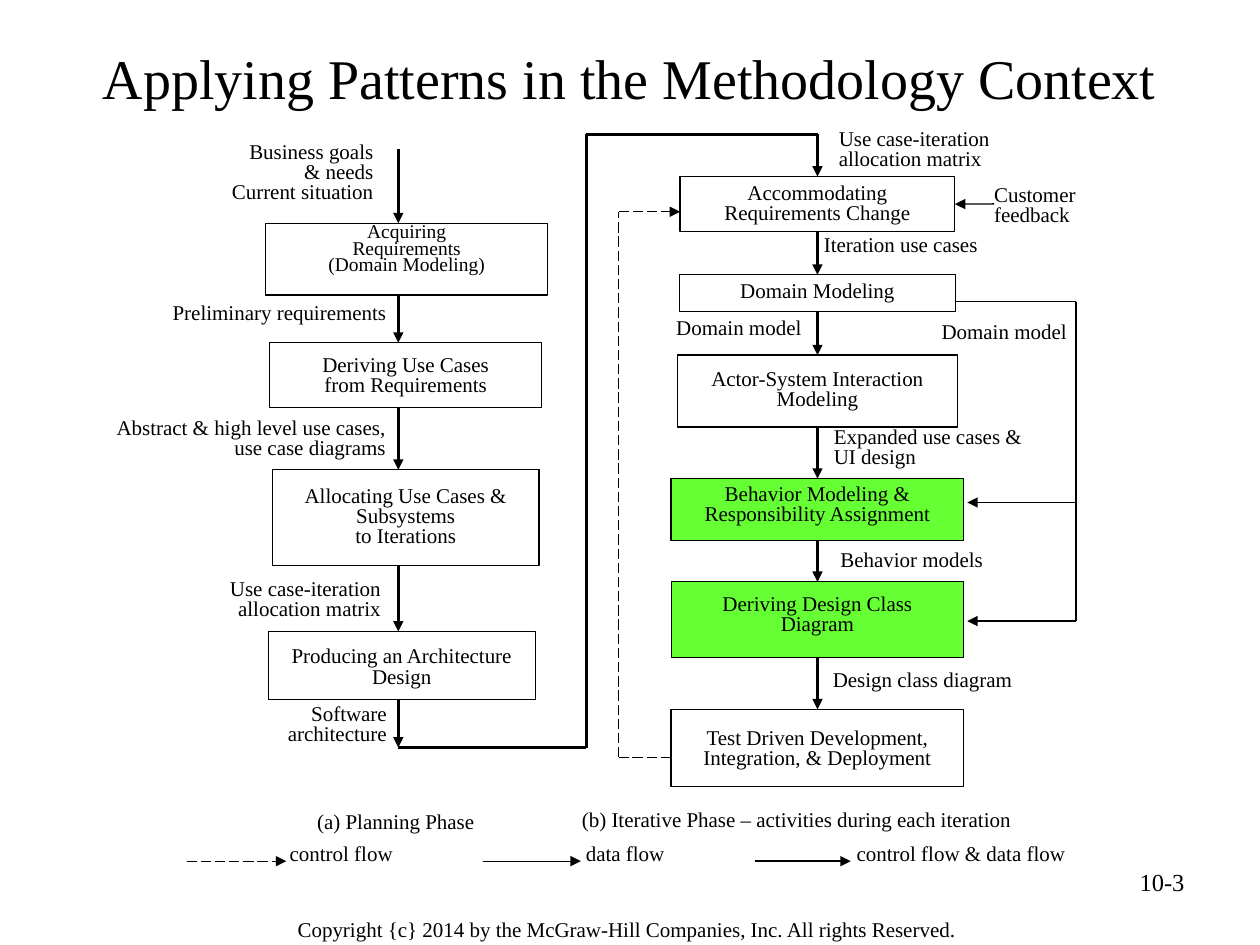
from itertools import pairwise

from lxml import etree
from pptx import Presentation
from pptx.dml.color import RGBColor
from pptx.enum.dml import MSO_LINE
from pptx.enum.shapes import MSO_CONNECTOR, MSO_SHAPE
from pptx.enum.text import MSO_ANCHOR, PP_ALIGN
from pptx.oxml.ns import qn
from pptx.util import Cm, Pt

LEFT, CENTER, RIGHT = PP_ALIGN.LEFT, PP_ALIGN.CENTER, PP_ALIGN.RIGHT
TOP, MIDDLE = MSO_ANCHOR.TOP, MSO_ANCHOR.MIDDLE
STRAIGHT, RECTANGLE = MSO_CONNECTOR.STRAIGHT, MSO_SHAPE.RECTANGLE
DASH = MSO_LINE.LONG_DASH
TOP_SIDE, BOTTOM_SIDE, RIGHT_SIDE = 0, 2, 3

THEME = {
    "font": "Times New Roman",
    "ink": RGBColor(0x00, 0x00, 0x00),
    "plain": RGBColor(0xFF, 0xFF, 0xFF),
    "highlight": RGBColor(0x66, 0xFF, 0x33),
    "title": 32, "number": 14, "body": 12, "small": 11.1,
    "thin": 0.75, "thick": 1.5,
    "tight": 0.8, "tighter": 0.7,
}
# Flow kinds: line width, dash
CONTROL = ("thin", DASH)
DATA = ("thin", None)
BOTH = ("thick", None)

# Lengths below are in centimetres
PLANNING_X, ITERATION_X = 8.03, 16.48
BRIDGE_X, LOOP_X, MODEL_X = 11.82, 12.47, 21.69

# Activities: text, centre x, top, width, height, space above the text
PLANNING = [
    ("Acquiring\nRequirements\n(Domain Modeling)", 8.2, 4.5, 5.69, 1.45, 0.05),
    ("Deriving Use Cases\nfrom Requirements", 8.18, 6.91, 5.49, 1.3, 0.28),
    ("Allocating Use Cases & Subsystems\nto Iterations", 8.18, 9.47, 5.38, 1.93, 0.36),
    ("Producing an Architecture Design", 8.1, 12.73, 5.38, 1.37, 0.33),
]
ITERATION = [
    ("Accommodating\nRequirements Change", ITERATION_X, 3.56, 5.54, 1.11, 0.15),
    ("Domain Modeling", ITERATION_X, 5.54, 5.56, 0.74, 0.15),
    ("Actor-System Interaction Modeling", ITERATION_X, 7.16, 5.64, 1.45, 0.3),
    ("Behavior Modeling &\nResponsibility Assignment", ITERATION_X, 9.65, 5.9, 1.25, 0.13),
    ("Deriving Design Class\nDiagram", ITERATION_X, 11.73, 5.88, 1.53, 0.28),
    ("Test Driven Development, Integration, & Deployment", ITERATION_X, 14.3, 5.9, 1.56, 0.4),
]
HIGHLIGHTED = {ITERATION[3][0], ITERATION[4][0]}
SMALL = {PLANNING[0][0]}

# Labels: text, left, top, width, height, alignment
LABELS = [
    ("Business goals\n& needs\nCurrent situation", 3.51, 2.77, 4.27, 1.93, RIGHT),
    ("Preliminary requirements", 3.23, 6.02, 4.93, 0.81, LEFT),
    ("Abstract & high level use cases, use case diagrams", 1.83, 8.33, 6.2, 1.35, RIGHT),
    ("Use case-iteration\nallocation matrix", 2.82, 11.58, 5.11, 1.4, RIGHT),
    ("Software architecture", 4.62, 14.1, 3.43, 1.35, RIGHT),
    ("Use case-iteration\nallocation matrix", 16.66, 2.51, 5.11, 1.4, LEFT),
    ("Customer\nfeedback", 19.79, 3.63, 3, 1.55, LEFT),
    ("Iteration use cases", 16.36, 4.65, 5.13, 0.89, LEFT),
    ("Domain model", 12.6, 6.32, 3.81, 0.71, RIGHT),
    ("Domain model", 18.34, 6.4, 3.81, 0.71, CENTER),
    ("Expanded use cases & UI design", 16.56, 8.51, 4.8, 1.37, LEFT),
    ("Behavior models", 16.69, 11, 3.56, 0.79, LEFT),
    ("Design class diagram", 16.54, 13.41, 6.53, 0.89, LEFT),
    ("(a) Planning Phase", 5.11, 16.28, 5.74, 0.89, CENTER),
    ("(b) Iterative Phase – activities during each iteration", 11.48, 16.23, 11.81, 0.89, LEFT),
]

# Legend: text, text left, text width, line start, line end, flow kind
LEGEND_TOP, LEGEND_LINE_Y = 16.92, 17.36
LEGEND = [
    ("control flow", 5.59, 4.04, 3.76, 5.77, CONTROL),
    ("data flow", 11.56, 3.68, 9.73, 11.71, DATA),
    ("control flow & data flow", 17.02, 6.48, 15.21, 17.15, BOTH),
]

# Routes: points, flow kind, arrowhead at the last point
ROUTES = [
    ([(PLANNING_X, 3), (PLANNING_X, PLANNING[0][2])], BOTH, True),
    ([(PLANNING_X, 14.12), (PLANNING_X, 15.07)], BOTH, True),
    ([(PLANNING_X, 15.07), (BRIDGE_X, 15.07), (BRIDGE_X, 2.71), (ITERATION_X, 2.71)], BOTH, False),
    ([(13.53, 15.27), (LOOP_X, 15.27), (LOOP_X, 4.27), (13.71, 4.27)], CONTROL, True),
    ([(19.26, 6.08), (MODEL_X, 6.08), (MODEL_X, 12.52), (19.5, 12.52)], DATA, True),
    ([(MODEL_X, 10.13), (19.5, 10.13)], DATA, True),
]

prs = Presentation()
prs.slide_width, prs.slide_height = Cm(25.4), Cm(19.05)
slide = prs.slides.add_slide(prs.slide_layouts[6])


def write(frame, text, size="body", align=CENTER, spacing=THEME["tight"], anchor=TOP):
    frame.text = text
    frame.word_wrap = True
    frame.vertical_anchor = anchor
    for paragraph in frame.paragraphs:
        paragraph.alignment = align
        paragraph.line_spacing = spacing
        for run in paragraph.runs:
            run.font.name = THEME["font"]
            run.font.size = Pt(THEME[size])
            run.font.color.rgb = THEME["ink"]


def add_label(text, left, top, width, height, align, **style):
    label = slide.shapes.add_textbox(Cm(left), Cm(top), Cm(width), Cm(height))
    write(label.text_frame, text, align=align, **style)


def add_activity(text, center, top, width, height, space_above):
    activity = slide.shapes.add_shape(
        RECTANGLE, Cm(center - width / 2), Cm(top), Cm(width), Cm(height))
    activity.shadow.inherit = False
    activity.fill.solid()
    activity.fill.fore_color.rgb = THEME["highlight" if text in HIGHLIGHTED else "plain"]
    activity.line.color.rgb = THEME["ink"]
    activity.line.width = Pt(THEME["thin"])
    activity.text_frame.margin_top = Cm(space_above)
    if text in SMALL:
        write(activity.text_frame, text, size="small", spacing=THEME["tighter"])
    else:
        write(activity.text_frame, text)
    return activity


def add_flow(start, end, kind, arrow=True):
    weight, dash = kind
    flow = slide.shapes.add_connector(STRAIGHT, *map(Cm, (*start, *end)))
    flow.line.color.rgb = THEME["ink"]
    flow.line.width = Pt(THEME[weight])
    if dash:
        flow.line.dash_style = dash
    if arrow:
        line = flow.line._get_or_add_ln()
        etree.SubElement(line, qn("a:tailEnd"), type="triangle")
    etree.SubElement(flow._element.spPr, qn("a:effectLst"))
    return flow


# Title, page number and copyright line
add_label("Applying Patterns in the Methodology Context", 1.27, 0.76, 22.86, 1.57, CENTER,
          size="title", spacing=1, anchor=MIDDLE)
add_label("10-3", 18.21, 17.35, 5.92, 1.32, RIGHT, size="number", spacing=1)
add_label("Copyright {c} 2014 by the McGraw-Hill Companies, Inc. All rights Reserved.",
          4.78, 18.36, 15.72, 0.79, CENTER, spacing=1)

# Activities of both phases
for activity in PLANNING:
    add_activity(*activity)
iteration_boxes = [add_activity(*activity) for activity in ITERATION]

# Flows down the planning column, beside the box centres
for (_, _, top, _, height, _), following in pairwise(PLANNING):
    add_flow((PLANNING_X, top + height), (PLANNING_X, following[2]), BOTH)

# Flows down the iteration column, joined to the boxes
for upper, lower in pairwise(iteration_boxes):
    flow = add_flow((0, 0), (0, 0), BOTH)
    flow.begin_connect(upper, BOTTOM_SIDE)
    flow.end_connect(lower, TOP_SIDE)

# Inputs to the first iteration activity
first_box = iteration_boxes[0]
add_flow((ITERATION_X, 2.71), (ITERATION_X, 3.56), BOTH).end_connect(first_box, TOP_SIDE)
add_flow((20.04, 4.11), (19.25, 4.11), DATA).end_connect(first_box, RIGHT_SIDE)

# Bent routes and loose ends
for points, kind, arrow in ROUTES:
    for start, end in pairwise(points):
        add_flow(start, end, kind, arrow and end == points[-1])

# Labels and legend
for label in LABELS:
    add_label(*label)
for text, left, width, start, end, kind in LEGEND:
    add_flow((start, LEGEND_LINE_Y), (end, LEGEND_LINE_Y), kind)
    add_label(text, left, LEGEND_TOP, width, 0.89, LEFT)

prs.save("out.pptx")
